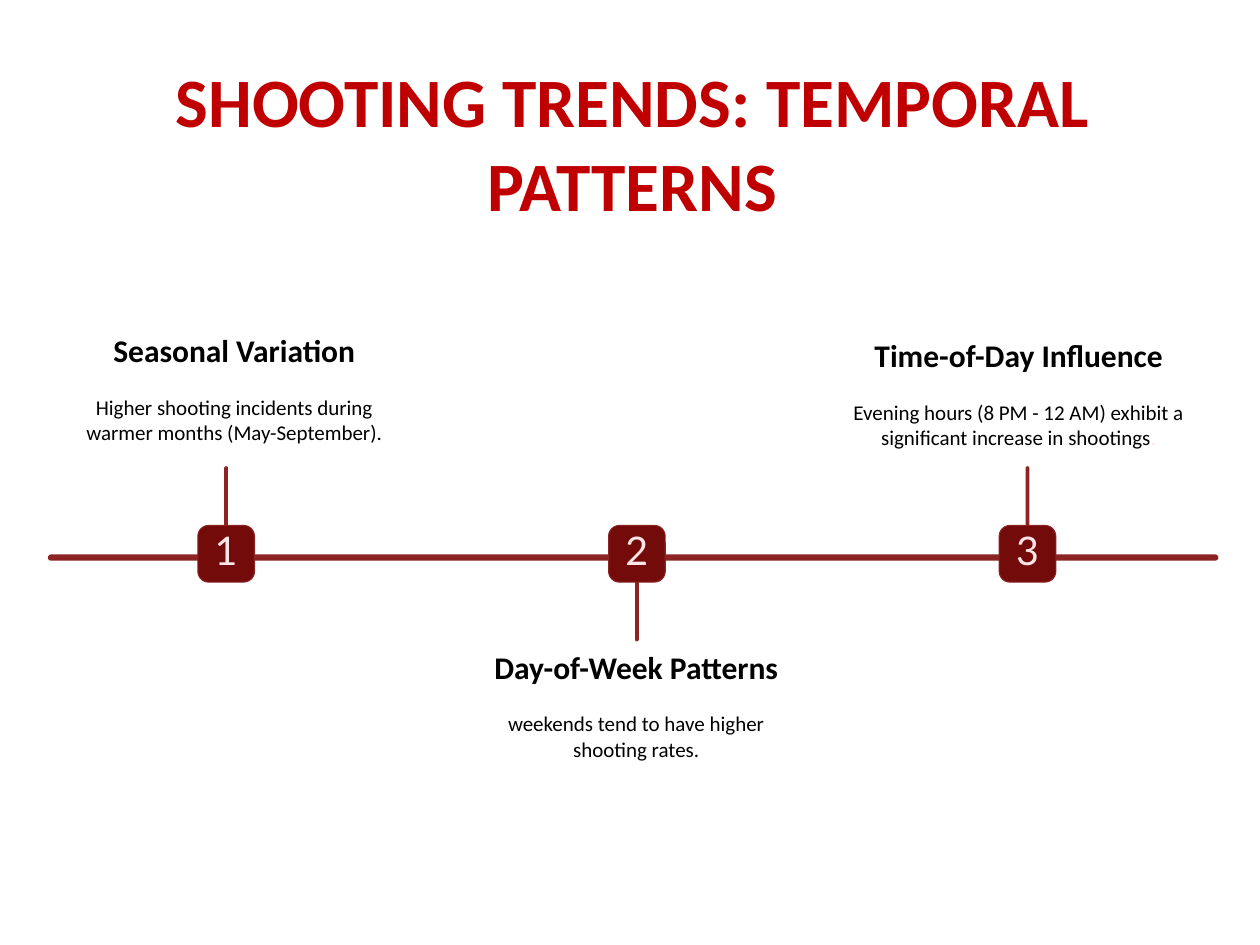
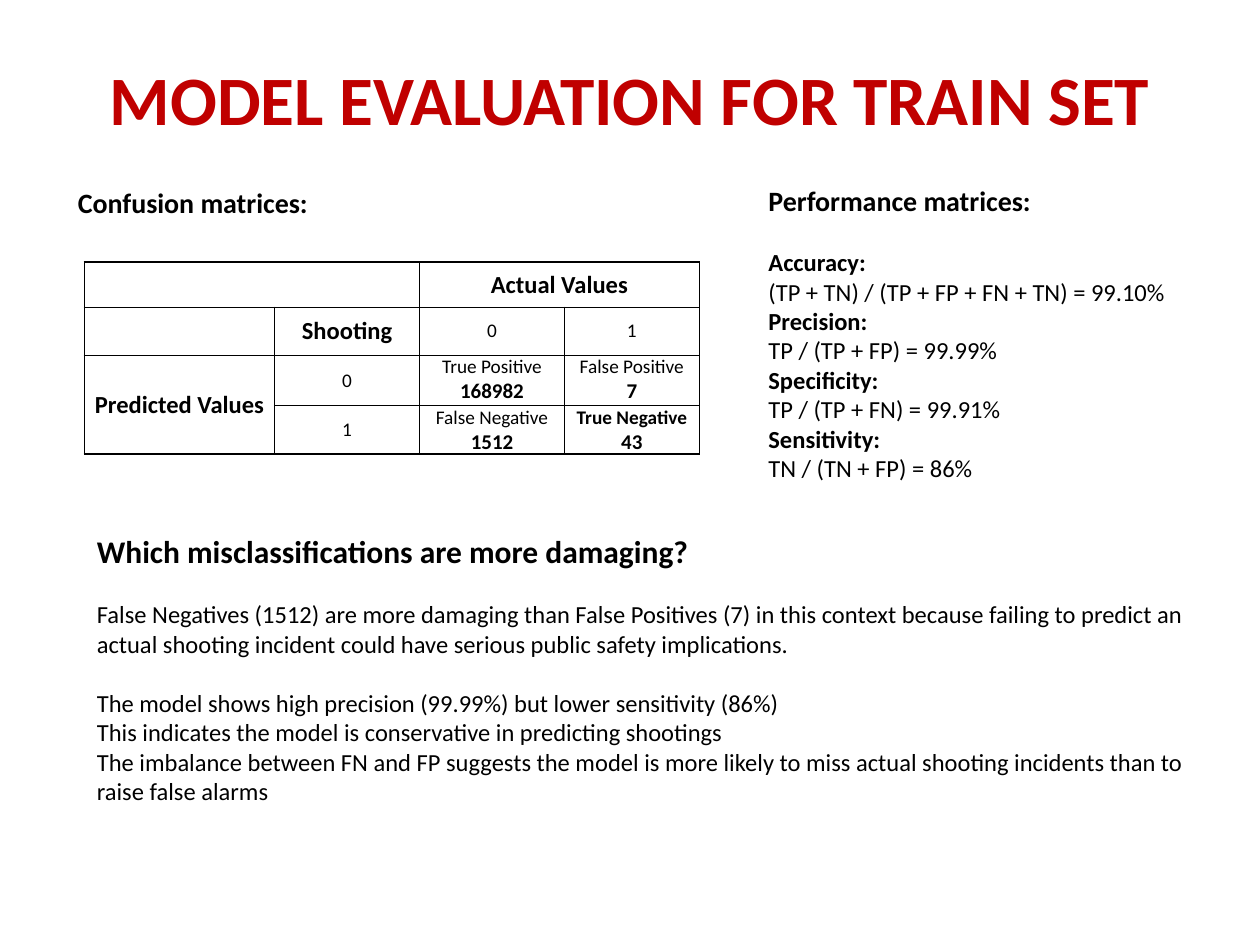
from lxml.etree import SubElement
from pptx import Presentation
from pptx.dml.color import RGBColor
from pptx.enum.shapes import MSO_SHAPE
from pptx.enum.text import MSO_ANCHOR, PP_ALIGN
from pptx.oxml import parse_xml
from pptx.oxml.ns import nsdecls
from pptx.util import Emu, Pt

PX = 9144
RED = RGBColor(0xC0, 0x00, 0x00)
BRICK = RGBColor(0x8D, 0x24, 0x24)
MAROON = RGBColor(0x74, 0x0B, 0x0B)
PINK = RGBColor(0xFF, 0xE5, 0xE5)
BLACK = RGBColor(0, 0, 0)
WHITE = RGBColor(255, 255, 255)

STEPS = [
    ("1", 157, -1, (57, 258, 258, 101), "Seasonal Variation",
     "Higher shooting incidents during warmer months (May-September).", ""),
    ("2", 483, 1, (376, 509, 258, 103), "Day-of-Week Patterns",
     "weekends tend to have higher shooting rates.", ""),
    ("3", 793, -1, (650, 262, 317, 101), "Time-of-Day Influence",
     "Evening hours (8 PM - 12 AM) exhibit a significant increase in shootings", "."),
]
SCORES = [
    ("Accuracy:", "(TP + TN) / (TP + FP + FN + TN) = 99.10%"),
    ("Precision:", "TP / (TP + FP) = 99.99%"),
    ("Specificity:", "TP / (TP + FN) = 99.91%"),
    ("Sensitivity:", "TN / (TN + FP) = 86%"),
]
COLS = [151, 115, 115, 107]
ROWS = [36, 38, 40, 38]
HEADS = {(0, 2): "Actual Values", (1, 1): "Shooting", (2, 0): "Predicted Values"}
CODES = {(1, 2): "0", (1, 3): "1", (2, 1): "0", (3, 1): "1"}
COUNTS = {
    (2, 2): ("True Positive", "168982", False),
    (2, 3): ("False Positive", "7", False),
    (3, 2): ("False Negative", "1512", False),
    (3, 3): ("True Negative", "43", True),
}
MERGES = [((0, 0), (0, 1)), ((0, 2), (0, 3)), ((2, 0), (3, 0))]
NOTES = [
    "False Negatives (1512) are more damaging than False Positives (7) in this context "
    "because failing to predict an actual shooting incident could have serious public "
    "safety implications.",
    "The model shows high precision (99.99%) but lower sensitivity (86%)",
    "This indicates the model is conservative in predicting shootings",
    "The imbalance between FN and FP suggests the model is more likely to miss actual "
    "shooting incidents than to raise false alarms",
]


def scale(*nums):
    return [Emu(num * PX) for num in nums]


def style(run, size, bold=False, color=BLACK, face="Calibri"):
    font = run.font
    font.size, font.bold, font.name = Pt(size), bold, face
    font.color.rgb = color


def write(frame, text, size, bold=False, color=BLACK, align=PP_ALIGN.LEFT, after=0):
    first = frame.paragraphs[0]
    par = frame.add_paragraph() if first.runs else first
    par.text = text
    par.alignment = align
    par.space_after = Pt(after)
    style(par.runs[0], size, bold, color)
    return par


def add_box(slide, box):
    frame = slide.shapes.add_textbox(*scale(*box)).text_frame
    frame.word_wrap = True
    return frame


def add_title(slide, box, text):
    frame = add_box(slide, box)
    frame.vertical_anchor = MSO_ANCHOR.MIDDLE
    write(frame, text, 39.6, True, RED, PP_ALIGN.CENTER)


def add_bar(slide, box, fill=BRICK, curve=0.5):
    bar = slide.shapes.add_shape(MSO_SHAPE.ROUNDED_RECTANGLE, *scale(*box))
    bar.adjustments[0] = curve
    bar.shadow.inherit = False
    bar.fill.solid()
    bar.fill.fore_color.rgb = fill
    bar.line.fill.background()
    return bar


def add_mark(slide, box, digit, side):
    x, y, w, h = box
    stem = 69
    top = y + h // 2 + (1 if side > 0 else -stem)
    add_bar(slide, (x + w // 2 - 1, top, 3, stem))
    mark = add_bar(slide, box, MAROON, 0.19)
    mark.line.color.rgb = BRICK
    mark.line.width = Pt(0.6)
    frame = mark.text_frame
    frame.margin_left = frame.margin_right = frame.margin_top = frame.margin_bottom = 0
    frame.vertical_anchor = MSO_ANCHOR.MIDDLE
    par = write(frame, digit, 22.5, align=PP_ALIGN.CENTER)
    par.line_spacing = Pt(22.5)
    style(par.runs[0], 22.5, False, PINK, "Lato")


def add_card(slide, box, head, body, tail):
    frame = add_box(slide, box)
    write(frame, head, 18, True, align=PP_ALIGN.CENTER, after=14.6)
    par = write(frame, body, 12, align=PP_ALIGN.CENTER)
    if tail:
        run = par.add_run()
        run.text = tail
        style(run, 12, color=PINK)


def add_trends(slide, box):
    x, y, w, h = box
    add_bar(slide, (x, y, w, h))
    for digit, left, side, card, head, body, tail in STEPS:
        add_mark(slide, (left, y - 23, 45, 45), digit, side)
        add_card(slide, card, head, body, tail)


def frame_cell(cell):
    cell.fill.solid()
    cell.fill.fore_color.rgb = WHITE
    cell.margin_left, cell.margin_right = scale(7, 7)
    cell.margin_top = cell.margin_bottom = 0
    props = cell._tc.get_or_add_tcPr()
    for spot, side in enumerate(("lnL", "lnR", "lnT", "lnB")):
        line = parse_xml(f'<a:{side} {nsdecls("a")} w="12700"/>')
        fill = SubElement(line, line.tag.replace(side, "solidFill"))
        SubElement(fill, line.tag.replace(side, "srgbClr"), val=str(BLACK))
        props.insert(spot, line)


def add_matrix(slide, box):
    table = slide.shapes.add_table(len(ROWS), len(COLS), *scale(*box)).table
    table.first_row = table.horz_banding = False
    for col, width in zip(table.columns, scale(*COLS)):
        col.width = width
    for row, height in zip(table.rows, scale(*ROWS)):
        row.height = height
    for start, end in MERGES:
        table.cell(*start).merge(table.cell(*end))
    for cell in table.iter_cells():
        frame_cell(cell)
    for group, size, bold in ((HEADS, 14, True), (CODES, 11, False)):
        for place, text in group.items():
            cell = table.cell(*place)
            cell.vertical_anchor = MSO_ANCHOR.MIDDLE
            write(cell.text_frame, text, size, bold, align=PP_ALIGN.CENTER)
    for place, (label, count, bold) in COUNTS.items():
        frame = table.cell(*place).text_frame
        write(frame, label, 11, bold, align=PP_ALIGN.CENTER)
        write(frame, count, 12, True, align=PP_ALIGN.CENTER)


def add_scores(slide, box):
    frame = add_box(slide, box)
    write(frame, "Performance matrices:", 16, True, after=17)
    for label, sum_text in SCORES:
        par = write(frame, label, 14, True)
        par.add_line_break()
        run = par.add_run()
        run.text = sum_text
        style(run, 14)


def add_notes(slide, box):
    frame = add_box(slide, box)
    write(frame, "Which misclassifications are more damaging?", 18, True, after=17)
    for spot, note in enumerate(NOTES):
        write(frame, note, 14, after=0 if spot else 17)


def main():
    deck = Presentation()
    deck.slide_width, deck.slide_height = scale(1000, 750)
    blank = deck.slide_layouts[6]

    trends = deck.slides.add_slide(blank)
    add_title(trends, (52, 50, 900, 125), "SHOOTING TRENDS: TEMPORAL PATTERNS")
    add_trends(trends, (38, 440, 929, 5))

    model = deck.slides.add_slide(blank)
    add_title(model, (50, 30, 900, 95), "MODEL EVALUATION FOR TRAIN SET")
    write(add_box(model, (52, 142, 900, 495)), "Confusion matrices:", 16, True)
    add_matrix(model, (67, 208, sum(COLS), sum(ROWS)))
    add_scores(model, (600, 141, 348, 249))
    add_notes(model, (67, 417, 892, 259))

    deck.save("out.pptx")


if __name__ == "__main__":
    main()
